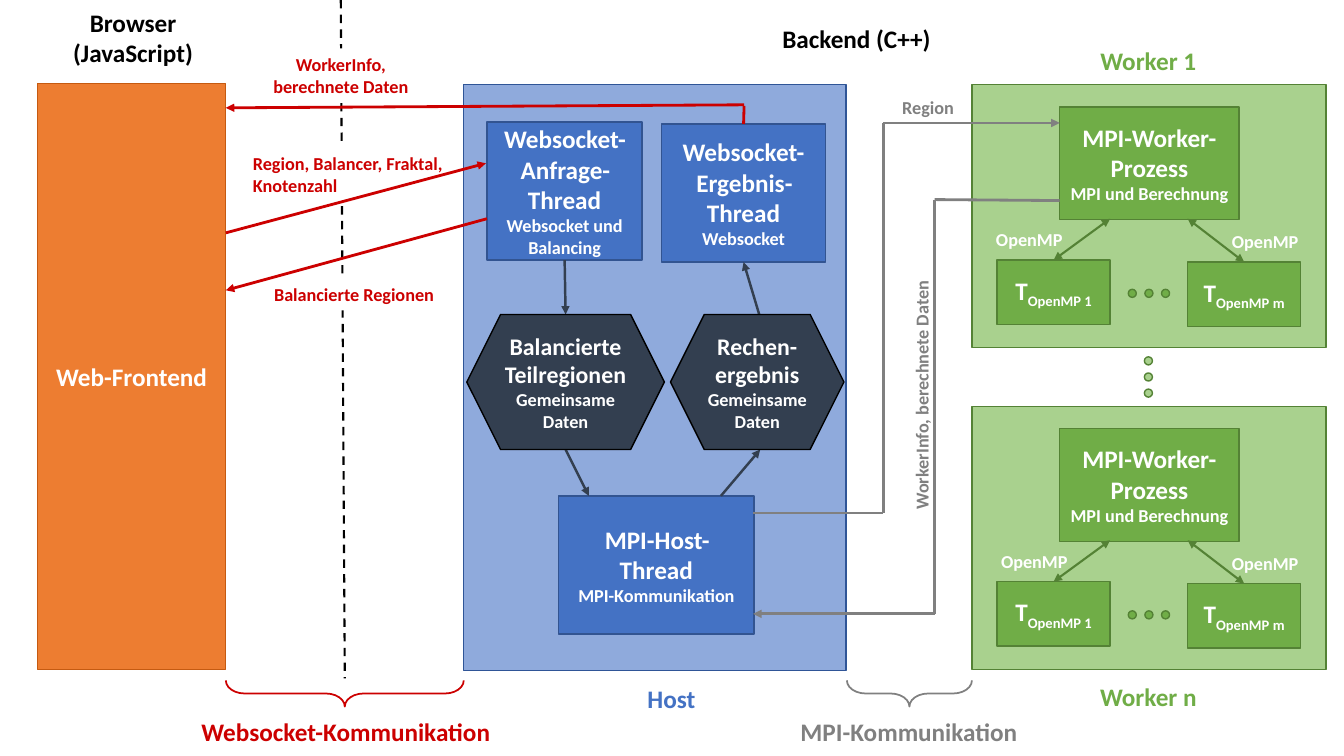
import pptx
import pptx.util
import pptx.dml.color
import pptx.enum.dml
import pptx.enum.shapes
import pptx.enum.text
from lxml import etree
from pptx.oxml.ns import qn

Inches = pptx.util.Inches
Pt = pptx.util.Pt
rgb = pptx.dml.color.RGBColor.from_string
MSO = pptx.enum.shapes.MSO_SHAPE
ALIGN = pptx.enum.text.PP_ALIGN
ANCHOR = pptx.enum.text.MSO_ANCHOR
AUTO = pptx.enum.text.MSO_AUTO_SIZE


class Theme:
    font = "Calibri"
    title, hexagon, small = 18, 17, 13
    black, white, red, gray = "000000", "FFFFFF", "CC0000", "808080"
    blue, blue_light, blue_edge, host_edge = "4472C4", "8FAADC", "325491", "2F5597"
    green, green_light, green_edge = "70AD47", "A9D18E", "548235"
    orange, orange_edge, slate = "ED7D31", "C55A11", "333F50"


prs = pptx.Presentation()
prs.slide_width, prs.slide_height = Inches(13.33), Inches(7.5)
s = prs.slides.add_slide(prs.slide_layouts[6])


def box(kind, at, text="", sizes=(Theme.title,), color=Theme.white, fill=None,
        edge=None, align=ALIGN.CENTER, label=False, wrap=True, sub=""):
    place = [Inches(v) for v in at]
    if kind is None:
        sp = s.shapes.add_textbox(*place)
    else:
        sp = s.shapes.add_shape(kind, *place)
        sp.shadow.inherit = False
        if fill:
            sp.fill.solid()
            sp.fill.fore_color.rgb = rgb(fill)
        else:
            sp.fill.background()
        if edge:
            sp.line.color.rgb = rgb(edge)
            sp.line.width = Pt(1)
        else:
            sp.line.fill.background()
    if text:
        tf = sp.text_frame
        tf.text = text
        tf.word_wrap = wrap
        tf.vertical_anchor = ANCHOR.TOP if label else ANCHOR.MIDDLE
        tf.auto_size = AUTO.SHAPE_TO_FIT_TEXT if label else AUTO.NONE
        if sub:
            r = tf.paragraphs[0].add_run()
            r.text = sub
            r._r.get_or_add_rPr().set("baseline", "-25000")
        for p in tf.paragraphs:
            p.alignment = align
        runs = [r for p in tf.paragraphs for r in p.runs]
        for i, r in enumerate(runs):
            r.font.name, r.font.bold = Theme.font, True
            r.font.size = Pt(sizes[min(i, len(sizes) - 1)])
            r.font.color.rgb = rgb(color)
    return sp


def link(start, end, color, width, ends=(), begin=None, finish=None):
    cx = s.shapes.add_connector(pptx.enum.shapes.MSO_CONNECTOR.STRAIGHT,
                                *[Inches(v) for v in start + end])
    if begin:
        cx.begin_connect(*begin)
    if finish:
        cx.end_connect(*finish)
    cx.line.color.rgb = rgb(color)
    cx.line.width = Pt(width)
    for tag in ends:
        etree.SubElement(cx.line._get_or_add_ln(), qn("a:" + tag)).set("type", "triangle")
    etree.SubElement(cx._element.spPr, qn("a:effectLst"))
    return cx


HEAD, TAIL = ("headEnd",), ("tailEnd",)
BOTH = HEAD + TAIL
two_sizes = (Theme.title, Theme.small)
hex_sizes = (Theme.hexagon, Theme.small)
small = (Theme.small,)

divider = link((3.38, 0), (3.42, 6.73), Theme.black, 1.5)
divider.line.dash_style = pptx.enum.dml.MSO_LINE.DASH

box(MSO.RECTANGLE, (4.6, 0.84, 3.79, 5.81), fill=Theme.blue_light, edge=Theme.host_edge)
frontend = box(MSO.RECTANGLE, (0.37, 0.83, 1.87, 5.81), "Web-Frontend",
               fill=Theme.orange, edge=Theme.orange_edge)

for dy, left_label in ((0, 9.78), (3.19, 9.83)):
    box(MSO.RECTANGLE, (9.64, 0.84 + dy, 3.51, 2.61),
        fill=Theme.green_light, edge=Theme.green_edge)
    box(MSO.RECTANGLE, (10.51, 1.06 + dy, 1.78, 1.12),
        "MPI-Worker-Prozess\vMPI und Berechnung", two_sizes,
        fill=Theme.green, edge=Theme.green_edge)
    for x, y, start, number in ((9.89, 2.58, 11.01, "1"), (11.78, 2.6, 11.78, "m")):
        thread = box(MSO.RECTANGLE, (x, y + dy, 1.12, 0.64), "T", sub="OpenMP " + number,
                     fill=Theme.green, edge=Theme.green_edge)
        link((start, 2.17 + dy), (x + 0.56, y + dy), Theme.green_edge, 1.5, BOTH,
             finish=(thread, 0))
    for i in range(3):
        box(MSO.OVAL, (11.19 + 0.165 * i, 2.87 + dy, 0.08, 0.08),
            fill=Theme.green, edge=Theme.green_edge)
    for x, y, w in ((left_label, 2.22, 0.95), (12.12, 2.24, 0.87)):
        box(None, (x, y + dy, w, 0.32), "OpenMP", small, align=ALIGN.LEFT, label=True)

for i in range(3):
    box(MSO.OVAL, (11.35, 3.54 + 0.16 * i, 0.08, 0.08),
        fill=Theme.green_light, edge=Theme.green_edge)

for at, text, color in (
    ((5.33, 6.73, 2.66, 0.4), "Host", Theme.blue),
    ((10.31, 0.4, 2.16, 0.4), "Worker 1", Theme.green),
    ((10.31, 6.71, 2.16, 0.4), "Worker n", Theme.green),
    ((0.62, 0.02, 1.4, 0.71), "Browser\n(JavaScript)", Theme.black),
    ((7.65, 0.18, 1.69, 0.4), "Backend (C++)", Theme.black),
    ((7.83, 7.06, 2.37, 0.4), "MPI-Kommunikation", Theme.gray),
    ((1.88, 7.06, 3.1, 0.4), "Websocket-Kommunikation", Theme.red),
):
    box(None, at, text, color=color, label=True, wrap=False)

box(None, (8.85, 0.91, 0.72, 0.32), "Region", small, Theme.gray,
    align=ALIGN.LEFT, label=True, wrap=False)
worker_info = box(None, (7.84, 3.76, 2.6, 0.32), "WorkerInfo, berechnete Daten",
                  small, Theme.gray, label=True)
worker_info.rotation = 270

for at, text, align in (
    ((2.41, 1.46, 2.11, 0.54), "Region, Balancer, Fraktal,\vKnotenzahl", ALIGN.LEFT),
    ((2.62, 2.76, 1.81, 0.32), "Balancierte Regionen", ALIGN.LEFT),
    ((2.6, 0.48, 1.56, 0.54), "WorkerInfo,\vberechnete Daten", ALIGN.CENTER),
):
    box(MSO.RECTANGLE, at, text, small, Theme.red, fill=Theme.white,
        align=align, label=True, wrap=False)

for at, color in (((8.89, 6.26, 0.26, 1.24), Theme.gray), ((3.29, 5.7, 0.26, 2.36), Theme.red)):
    brace = box(MSO.LEFT_BRACE, at, edge=color)
    brace.line.width = Pt(1.25)
    brace.rotation = 270
    brace.adjustments[0], brace.adjustments[1] = 0.72, 0.5

request, result, mpi_host = [
    box(MSO.RECTANGLE, at, text, two_sizes, fill=Theme.blue, edge=Theme.blue_edge)
    for at, text in (
        ((4.83, 1.21, 1.54, 1.37), "Websocket-Anfrage-Thread\vWebsocket und Balancing"),
        ((6.56, 1.23, 1.63, 1.37), "Websocket-Ergebnis-Thread\vWebsocket"),
        ((5.54, 4.92, 1.94, 1.37), "MPI-Host-Thread\vMPI-Kommunikation"),
    )
]

link((5.6, 2.58), (5.61, 3.12), Theme.slate, 1.75, TAIL, begin=(request, 2))
link((7.38, 2.6), (7.53, 3.12), Theme.slate, 1.75, HEAD, begin=(result, 2))
link((7.54, 4.46), (7.15, 4.92), Theme.slate, 1.75, HEAD)
link((5.61, 4.46), (5.84, 4.92), Theme.slate, 1.75, TAIL)

link((7.38, 1.23), (7.38, 1.05), Theme.red, 2, begin=(result, 0))
for start, end in (((7.38, 1.04), (2.24, 1.07)), ((4.83, 2.17), (2.24, 2.88)),
                   ((2.24, 2.31), (4.82, 1.62))):
    link(start, end, Theme.red, 2, TAIL)

for route in (
    ((7.47, 5.09), (8.76, 5.09), (8.76, 1.22), (10.51, 1.22)),
    ((10.51, 1.99), (9.27, 1.98), (9.27, 6.09), (7.47, 6.09)),
):
    for start, end in zip(route, route[1:]):
        link(start, end, Theme.gray, 2, TAIL if end == route[-1] else ())

for at, text in (
    ((4.63, 3.12, 1.96, 1.34), "Balancierte Teilregionen\nGemeinsame Daten"),
    ((6.65, 3.12, 1.72, 1.34), "Rechen-ergebnis\nGemeinsame Daten"),
):
    box(MSO.HEXAGON, at, text, hex_sizes, fill=Theme.slate, edge=Theme.black)

prs.save("out.pptx")
